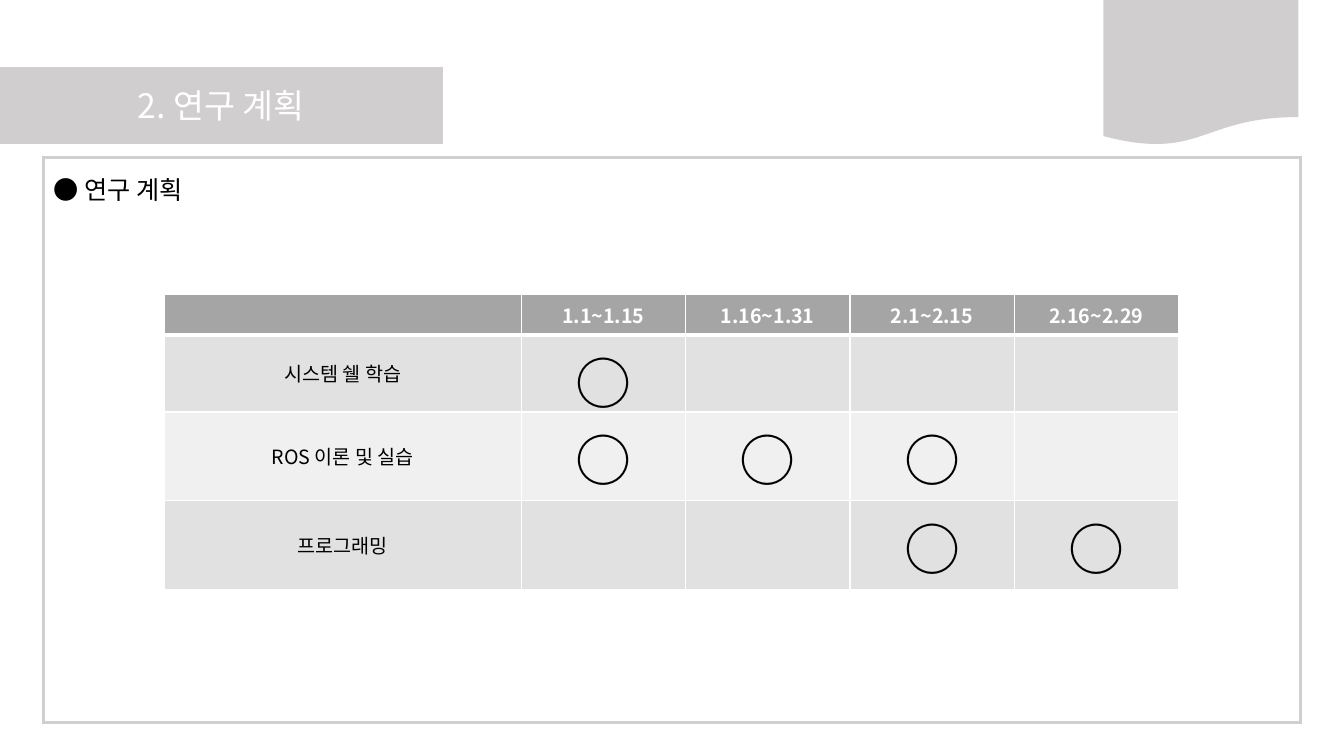
import pptx
import pptx.util
import pptx.dml.color
import pptx.enum.shapes
import pptx.enum.text
import pptx.oxml

PX = 9144  # EMU per px, 100 px to the inch
FONT = "Noto Sans CJK KR"
GREY = "D0CECE"
NS = 'xmlns:a="http://schemas.openxmlformats.org/drawingml/2006/main"'
SHAPE = pptx.enum.shapes.MSO_SHAPE
ALIGN = pptx.enum.text.PP_ALIGN
MIDDLE = pptx.enum.text.MSO_ANCHOR.MIDDLE


def rgb(value):
    return pptx.dml.color.RGBColor.from_string(value)


def add_run(p, text, size, color, bold=False):
    r = p.add_run()
    r.text = text
    r.font.size = pptx.util.Pt(size)
    r.font.name = FONT
    r.font.bold = bold
    r.font.color.rgb = rgb(color)
    ea = pptx.oxml.parse_xml(f'<a:ea {NS} typeface="{FONT}"/>')
    r.font._element.find(pptx.oxml.ns.qn("a:latin")).addnext(ea)


prs = pptx.Presentation()
prs.slide_width = 1333 * PX
prs.slide_height = 750 * PX
s = prs.slides.add_slide(prs.slide_layouts[5])

# Banner, corner tab and content frame
panels = [
    (SHAPE.RECTANGLE, (0, 67, 439, 75), True, 1),
    (SHAPE.FLOWCHART_DOCUMENT, (1095, 0, 192, 144), True, 1),
    (SHAPE.RECTANGLE, (43, 156, 1247, 561), False, 2.25),
]
title = s.shapes.title
for kind, box, filled, width in panels:
    sp = s.shapes.add_shape(kind, *[v * PX for v in box])
    sp.shadow.inherit = False
    if filled:
        sp.fill.solid()
        sp.fill.fore_color.rgb = rgb(GREY)
    else:
        sp.fill.background()
    sp.line.color.rgb = rgb(GREY)
    sp.line.width = pptx.util.Pt(width)
    sp.line._ln.append(pptx.oxml.parse_xml(f'<a:miter {NS} lim="800000"/>'))
    title.element.addprevious(sp.element)  # keep the panels behind the title

# Title
title.left, title.top, title.width, title.height = [v * PX for v in (0, 79, 439, 50)]
tf = title.text_frame
tf.auto_size = pptx.enum.text.MSO_AUTO_SIZE.NONE
tf.vertical_anchor = MIDDLE
p = tf.paragraphs[0]
p.alignment = ALIGN.CENTER
add_run(p, "2. 연구 계획", 24, "FFFFFF")

# Section heading
sp = s.shapes.add_textbox(*[v * PX for v in (43, 168, 671, 40)])
tf = sp.text_frame
tf.word_wrap = True
add_run(tf.paragraphs[0], "● 연구 계획", 18, "000000")

# Schedule table
schedule = [
    ["", "1.1~1.15", "1.16~1.31", "2.1~2.15", "2.16~2.29"],
    ["시스템 쉘 학습", "○", "", "", ""],
    ["ROS 이론 및 실습", "○", "○", "○", ""],
    ["프로그래밍", "", "", "○", "○"],
]
row_heights = [38, 44, 88, 88]
row_fills = ["A5A5A5", "E1E1E1", "F0F0F0", "E1E1E1"]
frame = s.shapes.add_table(4, 5, *[v * PX for v in (163, 292, 1007, 291)])
table = frame.table
for column, width in zip(table.columns, [354] + [163] * 4):
    column.width = width * PX
for i, texts in enumerate(schedule):
    table.rows[i].height = row_heights[i] * PX
    header = i == 0
    for j, text in enumerate(texts):
        cell = table.cell(i, j)
        cell.fill.solid()
        cell.fill.fore_color.rgb = rgb(row_fills[i])
        cell.vertical_anchor = MIDDLE
        p = cell.text_frame.paragraphs[0]
        p.alignment = ALIGN.CENTER
        add_run(p, text, 40 if text == "○" else 14,
                "FFFFFF" if header else "000000", header)
        if header:  # thick white rule under the header
            rule = pptx.oxml.parse_xml(
                f'<a:lnB {NS} w="38100"><a:solidFill><a:srgbClr val="FFFFFF"/>'
                '</a:solidFill></a:lnB>')
            cell._tc.tcPr.insert(0, rule)
frame.height = 291 * PX  # the first task row takes the remaining height

prs.save("out.pptx")
